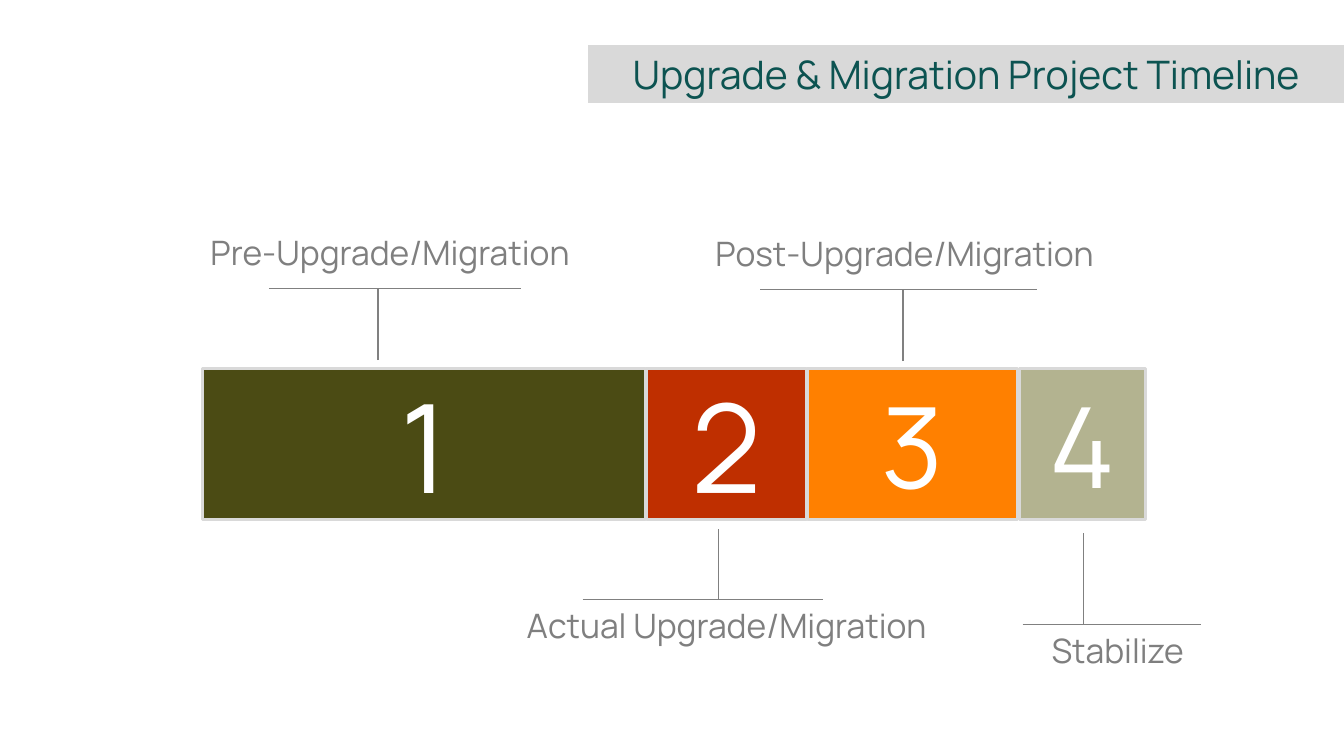
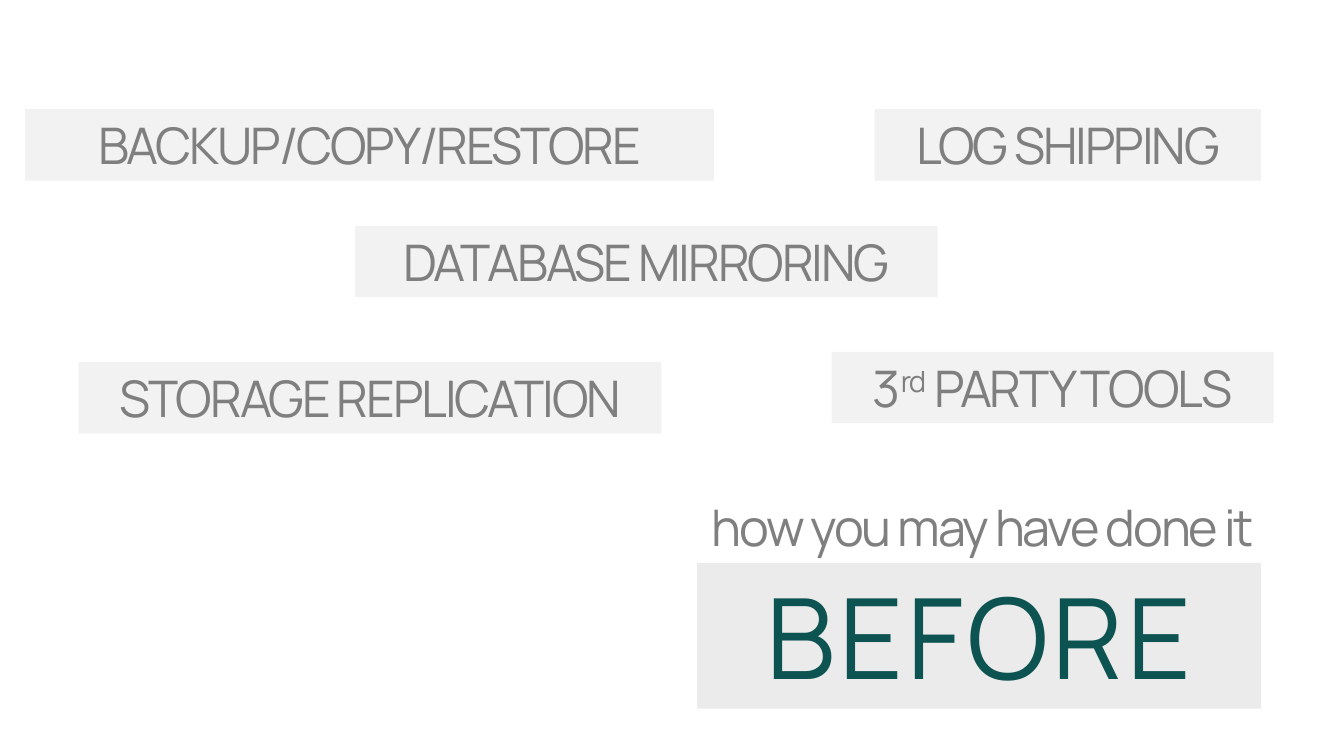
from dataclasses import dataclass

from lxml.etree import SubElement
from pptx import Presentation
from pptx.dml.color import RGBColor
from pptx.enum.shapes import MSO_CONNECTOR as Connector, MSO_SHAPE as Preset
from pptx.enum.text import MSO_ANCHOR as Anchor, MSO_AUTO_SIZE as AutoSize, PP_ALIGN as Align
from pptx.oxml.ns import qn
from pptx.util import Pt

EMU_PER_PX = 9525
FONT = "Manrope"
COLOURS = {
    "teal": "0C5351",
    "text": "7F7F7F",
    "rule": "808080",
    "band": "D9D9D9",
    "chip": "F2F2F2",
    "white": "FFFFFF",
    "olive": "4B4B14",
    "rust": "BF2F00",
    "orange": "FF8000",
    "sage": "B3B390",
}


@dataclass
class Phase:
    number: str
    label: str
    fill: str
    left: int
    width: int
    size: int
    bar: tuple
    stem: tuple
    label_box: tuple


PHASES = [
    Phase("1", "Pre-Upgrade/Migration", "olive", 193, 422, 88,
          (256, 496, 275), (360, 343), (184, 216, 375, 48)),
    Phase("2", "Actual Upgrade/Migration", "rust", 616, 152, 88,
          (555, 784, 571), (684, 504), (484, 571, 416, 48)),
    Phase("3", "Post-Upgrade/Migration", "orange", 769, 200, 80,
          (724, 988, 276), (860, 344), (666, 217, 391, 48)),
    Phase("4", "Stabilize", "sage", 971, 120, 80,
          (974, 1144, 595), (1032, 508), (992, 595, 145, 48)),
]
PHASE_TOP, PHASE_HEIGHT = 351, 144

METHODS = [
    ((24, 104, 656, 68), [("BACKUP/COPY/RESTORE", 0)]),
    ((338, 215, 555, 68), [("DATABASE MIRRORING", 0)]),
    ((833, 104, 368, 68), [("LOG SHIPPING", 0)]),
    ((75, 345, 555, 68), [("STORAGE REPLICATION", 0)]),
    ((792, 335, 421, 68), [("3", 0), ("rd", 30), (" PARTY TOOLS", 0)]),
]


def px(*lengths):
    return [length * EMU_PER_PX for length in lengths]


def rgb(name):
    return RGBColor.from_string(COLOURS[name])


def paint(shape, colour, opacity=100):
    shape.fill.solid()
    shape.fill.fore_color.rgb = rgb(colour)
    if opacity < 100:
        tint = shape.fill.fore_color
        solid = shape._element.spPr.find(qn("a:solidFill"))
        SubElement(solid[0], qn("a:alpha")).set("val", str(opacity * 1000))


def write(shape, spans, size, colour, spacing=0, anchor=Anchor.TOP, wrap=True):
    frame = shape.text_frame
    frame.auto_size = AutoSize.NONE
    frame.word_wrap = wrap
    frame.vertical_anchor = anchor
    para = frame.paragraphs[0]
    para.alignment = Align.CENTER
    for text, raised in spans:
        span = para.add_run()
        span.text = text
        span.font.name = FONT
        span.font.size = Pt(size)
        span.font.color.rgb = rgb(colour)
        props = span._r.get_or_add_rPr()
        if spacing:
            props.set("spc", str(int(spacing * 100)))
        if raised:
            props.set("baseline", str(raised * 1000))


def add_block(shapes, box, colour):
    block = shapes.add_shape(Preset.RECTANGLE, *px(*box))
    block.shadow.inherit = False
    paint(block, colour)
    block.line.fill.background()
    return block


def add_rule(shapes, start, end):
    rule = shapes.add_connector(Connector.STRAIGHT, *px(*start, *end))
    rule.line.color.rgb = rgb("rule")
    rule.line.width = Pt(0.75)
    SubElement(rule._element.spPr, qn("a:effectLst"))


def add_page(deck, title, box, size, opacity=100, spacing=0):
    page = deck.slides.add_slide(deck.slide_layouts.get_by_name("Title Only"))
    heading = page.shapes.title
    heading.left, heading.top, heading.width, heading.height = px(*box)
    paint(heading, "band", opacity)
    write(heading, [(title, 0)], size, "teal", spacing)
    return page


def add_phase(page, phase):
    shapes = page.shapes.add_group_shape().shapes
    block = add_block(shapes, (phase.left, PHASE_TOP, phase.width, PHASE_HEIGHT), phase.fill)
    block.line.color.rgb = rgb("band")
    block.line.width = Pt(2)
    write(block, [(phase.number, 0)], phase.size, "white", anchor=Anchor.MIDDLE)
    bar_left, bar_right, bar_y = phase.bar
    stem_x, stem_y = phase.stem
    add_rule(shapes, (bar_left, bar_y), (bar_right, bar_y))
    add_rule(shapes, (stem_x, stem_y), (stem_x, bar_y))
    label = shapes.add_textbox(*px(*phase.label_box))
    write(label, [(phase.label, 0)], 24, "text", wrap=False)


def add_timeline_page(deck):
    page = add_page(deck, "Upgrade & Migration Project Timeline", (560, 43, 720, 55), 28)
    for phase in PHASES:
        add_phase(page, phase)


def add_methods_page(deck):
    page = add_page(deck, "BEFORE", (664, 536, 537, 139), 80, opacity=50, spacing=3)
    caption = page.shapes.add_textbox(*px(608, 468, 656, 68))
    write(caption, [("how you may have done it", 0)], 36, "text", -1.5)
    for box, spans in METHODS:
        write(add_block(page.shapes, box, "chip"), spans, 36, "text", -1.5)


def main():
    deck = Presentation()
    deck.slide_width, deck.slide_height = px(1280, 720)
    add_timeline_page(deck)
    add_methods_page(deck)
    deck.save("out.pptx")


if __name__ == "__main__":
    main()
